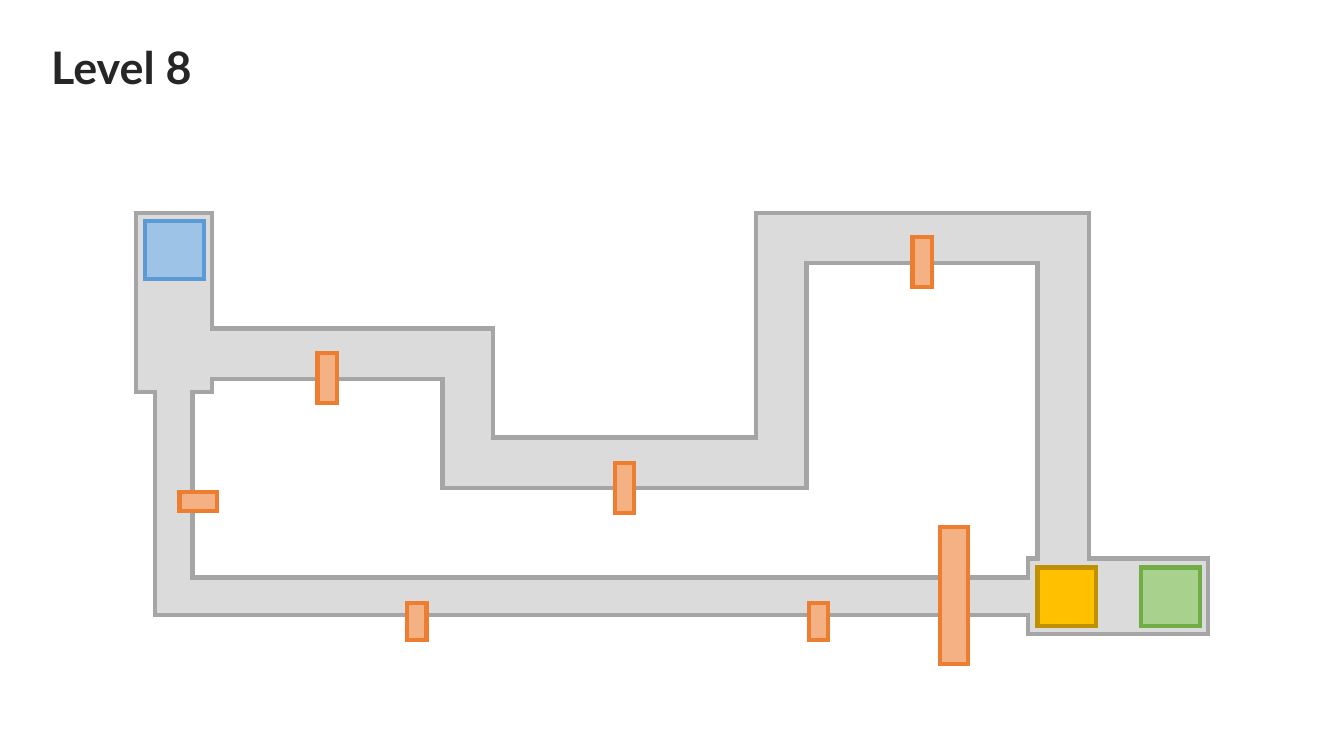
from lxml.etree import SubElement
from pptx import Presentation
from pptx.dml.color import RGBColor
from pptx.enum.shapes import MSO_SHAPE
from pptx.enum.text import MSO_ANCHOR, MSO_AUTO_SIZE
from pptx.oxml.ns import qn
from pptx.util import Inches, Pt

INK = RGBColor(0x26, 0x26, 0x26)
FLOOR = RGBColor(0xDB, 0xDB, 0xDB)
WALL = RGBColor(0xA5, 0xA5, 0xA5)
GREEN = RGBColor(0xA9, 0xD1, 0x8E)
FOREST = RGBColor(0x70, 0xAD, 0x47)
BLUE = RGBColor(0x9D, 0xC3, 0xE6)
NAVY = RGBColor(0x5B, 0x9B, 0xD5)
PEACH = RGBColor(0xF4, 0xB1, 0x83)
ORANGE = RGBColor(0xED, 0x7D, 0x31)
GOLD = RGBColor(0xFF, 0xC0, 0x00)
BRONZE = RGBColor(0xBF, 0x90, 0x00)

CELL = Inches(0.01)
COLS, ROWS = 1333, 750


def paint(shape, fill, edge):
    shape.shadow.inherit = False
    shape.fill.solid()
    shape.fill.fore_color.rgb = fill
    shape.line.color.rgb = edge
    shape.line.width = Pt(3)
    SubElement(shape.line._get_or_add_ln(), qn("a:miter"), lim="800000")


deck = Presentation()
deck.slide_width = COLS * CELL
deck.slide_height = ROWS * CELL
slide = deck.slides.add_slide(deck.slide_layouts[6])
shapes = slide.shapes

title = shapes.add_textbox(41 * CELL, 34 * CELL, 167 * CELL, 64 * CELL)
frame = title.text_frame
look = {"word_wrap": False, "auto_size": MSO_AUTO_SIZE.SHAPE_TO_FIT_TEXT,
        "vertical_anchor": MSO_ANCHOR.TOP}
for key, value in look.items():
    setattr(frame, key, value)
run = frame.paragraphs[0].add_run()
run.text = "Level 8"
style = {"name": "Lato", "size": Pt(32), "bold": True}
for key, value in style.items():
    setattr(run.font, key, value)
run.font.color.rgb = INK

inner = [(800, 261), (800, 484), (439, 484), (439, 376), (210, 376),
         (210, 389), (191, 389), (191, 573), (1020, 573), (1020, 554),
         (1029, 554), (1029, 261)]
outer = [(135, 211), (210, 211), (210, 326), (489, 326), (489, 434),
         (750, 434), (750, 211), (1080, 211), (1080, 554), (1198, 554),
         (1198, 629), (1020, 629), (1020, 610), (154, 610), (154, 389),
         (135, 389)]
track = shapes.build_freeform(*inner[0], scale=CELL)
track.add_line_segments(inner[1:], close=True)
track.move_to(*outer[0])
track.add_line_segments(outer[1:], close=True)
paint(track.convert_to_shape(), FLOOR, WALL)

pad = (58, 58)
tall = (19, 50)
short = (19, 37)
flat = (37, 19)
gate = (28, 136)
blocks = [
    (1132, 563, pad, GREEN, FOREST),
    (144, 219, pad, BLUE, NAVY),
    (905, 235, tall, PEACH, ORANGE),
    (610, 459, tall, PEACH, ORANGE),
    (315, 350, tall, PEACH, ORANGE),
    (802, 598, short, PEACH, ORANGE),
    (404, 598, short, PEACH, ORANGE),
    (178, 488, flat, PEACH, ORANGE),
    (932, 523, gate, PEACH, ORANGE),
    (1029, 563, pad, GOLD, BRONZE),
]
for col, row, (wide, high), fill, edge in blocks:
    block = shapes.add_shape(MSO_SHAPE.RECTANGLE, col * CELL, row * CELL,
                             wide * CELL, high * CELL)
    paint(block, fill, edge)

deck.save("out.pptx")
